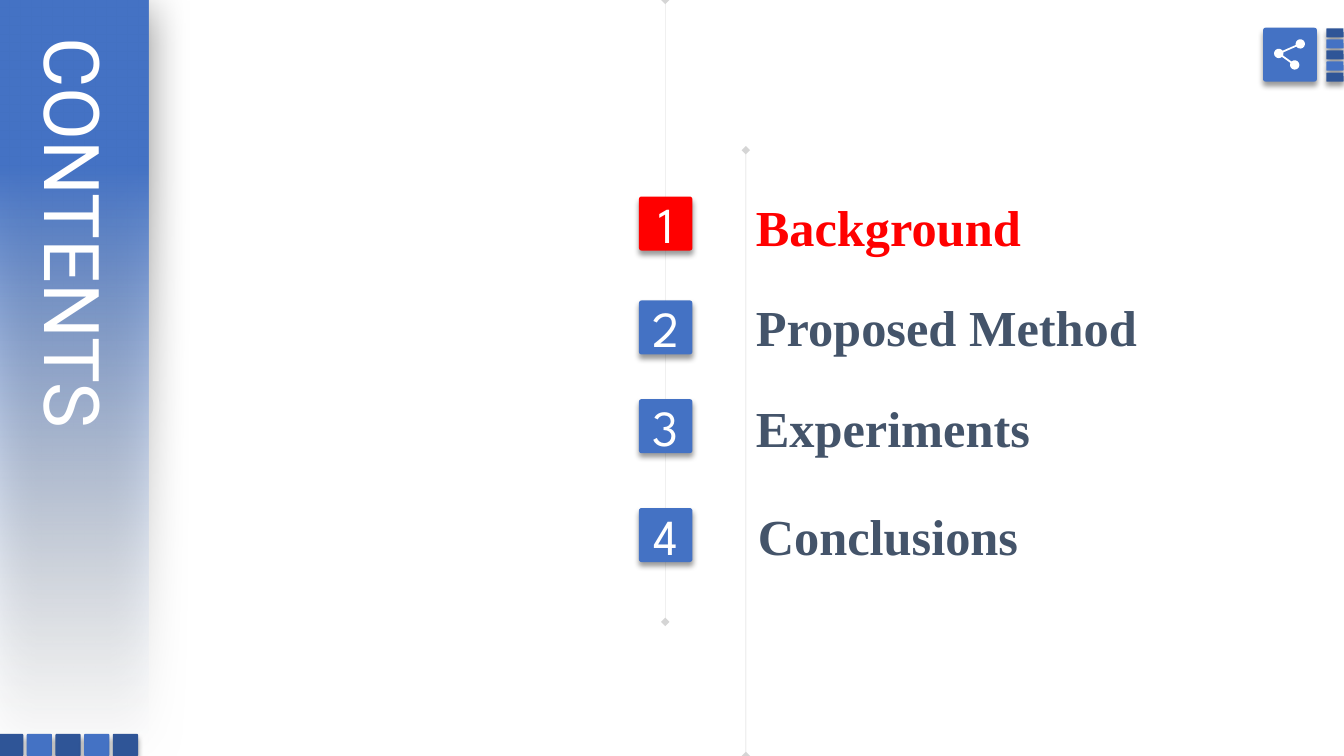
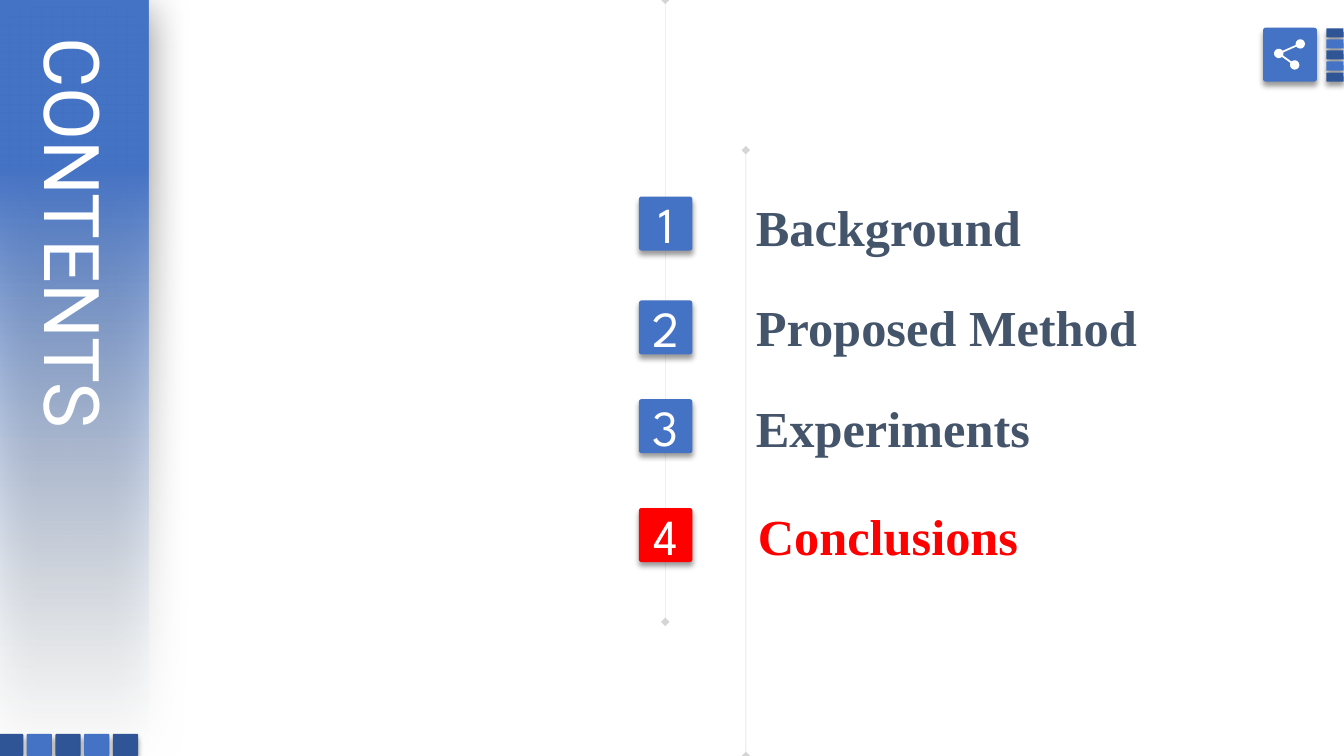
from math import cos, radians, sin

from lxml.etree import SubElement
from pptx import Presentation
from pptx.dml.color import RGBColor
from pptx.enum.shapes import MSO_CONNECTOR, MSO_SHAPE
from pptx.enum.text import MSO_ANCHOR, MSO_AUTO_SIZE, PP_ALIGN
from pptx.oxml.ns import qn
from pptx.util import Pt

COLORS = {name: RGBColor.from_string(value) for name, value in {
    "blue": "4472C4", "navy": "2F5597", "red": "FF0000", "slate": "44546A",
    "white": "FFFFFF", "pale": "F7FAFD", "gray": "808080"}.items()}

# Section title, badge top, title left, title top, title width
SECTIONS = [
    ("Background", 140.4, 532.8, 136.8, 205.9),
    ("Proposed Method", 214.6, 532.8, 208.1, 289.4),
    ("Experiments", 285.1, 532.8, 280.1, 212.4),
    ("Conclusions", 362.9, 534.2, 357.1, 202.3),
]
ACTIVE_SECTIONS = ["Background", "Conclusions"]

# Vertical guide lines: x, top, bottom
GUIDES = [(532.8, 107.3, 540), (475.2, 0, 444.2)]

# Share icon: node centre, start and end angle of each arc, clockwise
NODE_RADIUS = 3.3
UPPER, LEFT, LOWER = (928.8, 31.4), (913.4, 38.2), (924.8, 46.4)
ICON_ARCS = [(UPPER, 167, 505), (LEFT, -13, 25), (LOWER, 227, 565), (LEFT, 47, 325)]


def add_block(page, kind, left, top, width, height, color, shadow=(40, 4, 3, 90)):
    """Add a borderless filled shape; shadow is opacity, blur, distance, angle."""
    block = page.shapes.add_shape(kind, Pt(left), Pt(top), Pt(width), Pt(height))
    if kind == MSO_SHAPE.ROUNDED_RECTANGLE:
        block.adjustments[0] = 0.05
    block.fill.solid()
    block.fill.fore_color.rgb = COLORS[color]
    block.line.fill.background()
    block.shadow.inherit = False
    opacity, blur, distance, angle = shadow
    effects = block._element.spPr.find(qn("a:effectLst"))
    outer = SubElement(effects, qn("a:outerShdw"), blurRad=str(Pt(blur)), dist=str(Pt(distance)),
                       dir=str(angle * 60000), algn="ctr", rotWithShape="0")
    shade = SubElement(outer, qn("a:srgbClr"), val="000000")
    SubElement(shade, qn("a:alpha"), val=str(opacity * 1000))
    return block


def add_run(frame, text, size, font, color, bold=False):
    span = frame.paragraphs[0].add_run()
    span.text = text
    span.font.size = Pt(size)
    span.font.name = font
    span.font.bold = bold
    span.font.color.rgb = COLORS[color]


deck = Presentation()
deck.slide_width, deck.slide_height = Pt(960), Pt(540)

for active in ACTIVE_SECTIONS:
    page = deck.slides.add_slide(deck.slide_layouts[6])

    # Guide lines with diamond ends
    for x, top, bottom in GUIDES:
        guide = page.shapes.add_connector(MSO_CONNECTOR.STRAIGHT, Pt(x), Pt(top), Pt(x), Pt(bottom))
        guide.line.width = Pt(0.25)
        guide.line.color.rgb = COLORS["gray"]
        outline = guide._element.spPr.find(qn("a:ln"))
        SubElement(next(outline.iter(qn("a:srgbClr"))), qn("a:alpha"), val="33000")
        for end in ("a:headEnd", "a:tailEnd"):
            SubElement(outline, qn(end), type="diamond")
        SubElement(guide._element.spPr, qn("a:effectLst"))

    # Side band fading out towards the bottom
    band = add_block(page, MSO_SHAPE.RECTANGLE, 0, 0, 105.8, 537, "blue", (50, 31, 6, 97))
    band.fill.gradient()
    band.fill.gradient_angle = 90
    for stop, position, color in zip(band.fill.gradient_stops, (0, 0.78), ("pale", "blue")):
        stop.position = position
        stop.color.rgb = COLORS[color]
    gradient = band._element.spPr.find(qn("a:gradFill"))
    SubElement(next(gradient.iter(qn("a:srgbClr"))), qn("a:alpha"), val="0")

    # Tiles along the bottom left and the right edge
    for index in range(5):
        color = ("navy", "blue")[index % 2]
        add_block(page, MSO_SHAPE.ROUNDED_RECTANGLE, -1.4 + 20.5 * index, 524.2, 18, 15.8, color)
        add_block(page, MSO_SHAPE.ROUNDED_RECTANGLE, 947.5, 20.2 + 7.9 * index, 12.2, 6.5, color)

    # Vertical heading
    box = page.shapes.add_textbox(Pt(8.6), Pt(19.4), Pt(81.4), Pt(355.7))
    box.text_frame.word_wrap = True
    box.text_frame._txBody.bodyPr.set("vert", "eaVert")
    add_run(box.text_frame, "CONTENTS", 55, "Roboto", "white")

    # Share button
    add_block(page, MSO_SHAPE.ROUNDED_RECTANGLE, 902.2, 19.8, 38.5, 38.5, "blue")
    points = []
    for (x, y), start, end in ICON_ARCS:
        for step in range(25):
            angle = radians(start + (end - start) * step / 24)
            points.append((Pt(x + NODE_RADIUS * cos(angle)), Pt(y + NODE_RADIUS * sin(angle))))
    builder = page.shapes.build_freeform(*points[0])
    builder.add_line_segments(points[1:], close=True)
    icon = builder.convert_to_shape()
    icon.fill.solid()
    icon.fill.fore_color.rgb = COLORS["white"]
    icon.line.fill.background()
    icon.shadow.inherit = False

    # Numbered sections, the active one in red
    for number, (title, badge_top, left, top, width) in enumerate(SECTIONS, 1):
        badge_color, title_color = ("red", "red") if title == active else ("blue", "slate")
        badge = add_block(page, MSO_SHAPE.ROUNDED_RECTANGLE, 456.4, badge_top, 38.2, 38.6, badge_color)
        badge.text_frame.vertical_anchor = MSO_ANCHOR.MIDDLE
        badge.text_frame.paragraphs[0].alignment = PP_ALIGN.CENTER
        add_run(badge.text_frame, str(number), 36, "League Spartan", "white")

        box = page.shapes.add_textbox(Pt(left), Pt(top), Pt(width), Pt(51.1))
        box.text_frame.word_wrap = False
        box.text_frame.auto_size = MSO_AUTO_SIZE.SHAPE_TO_FIT_TEXT
        add_run(box.text_frame, title, 36, "Times New Roman", title_color, bold=True)

deck.save("out.pptx")
